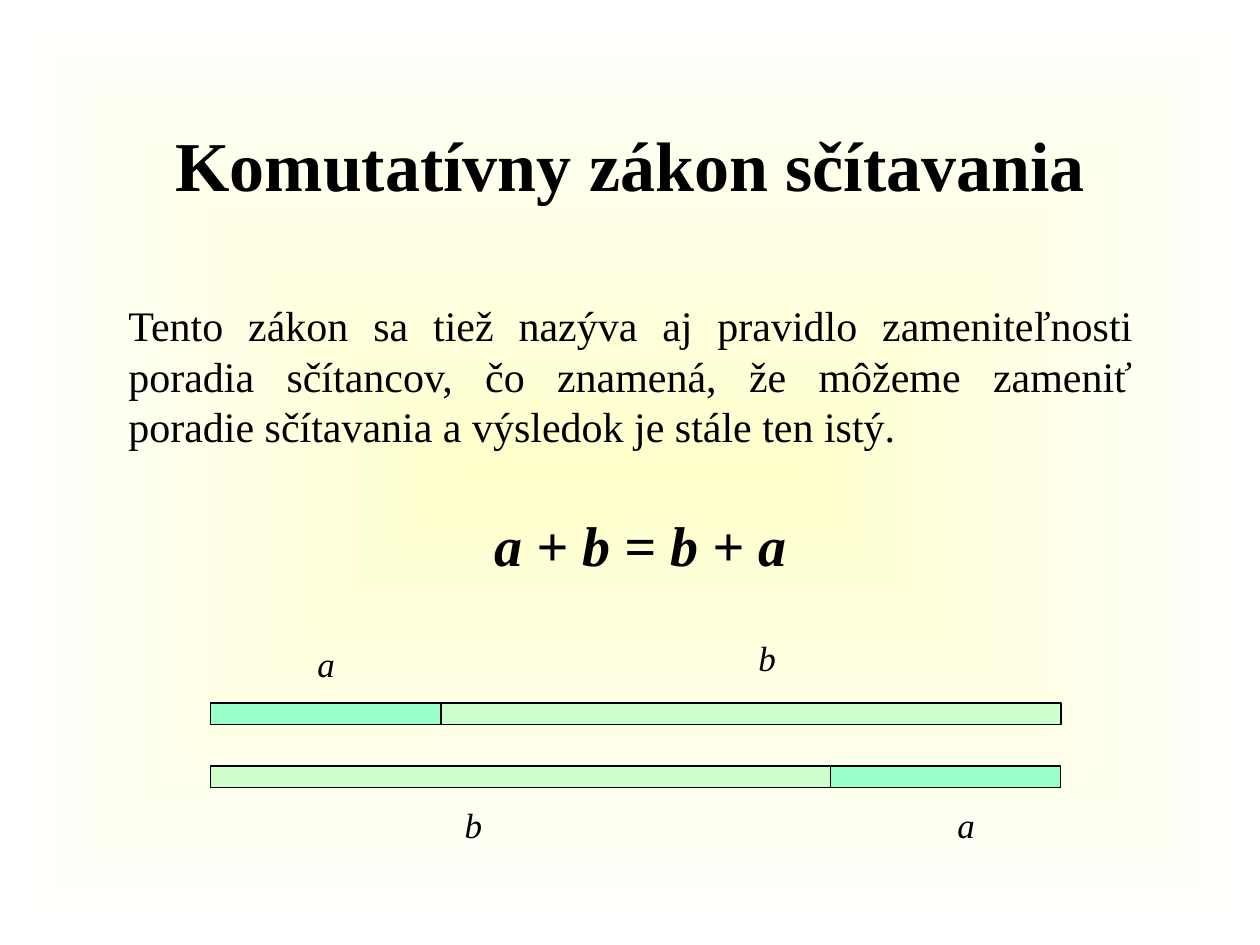
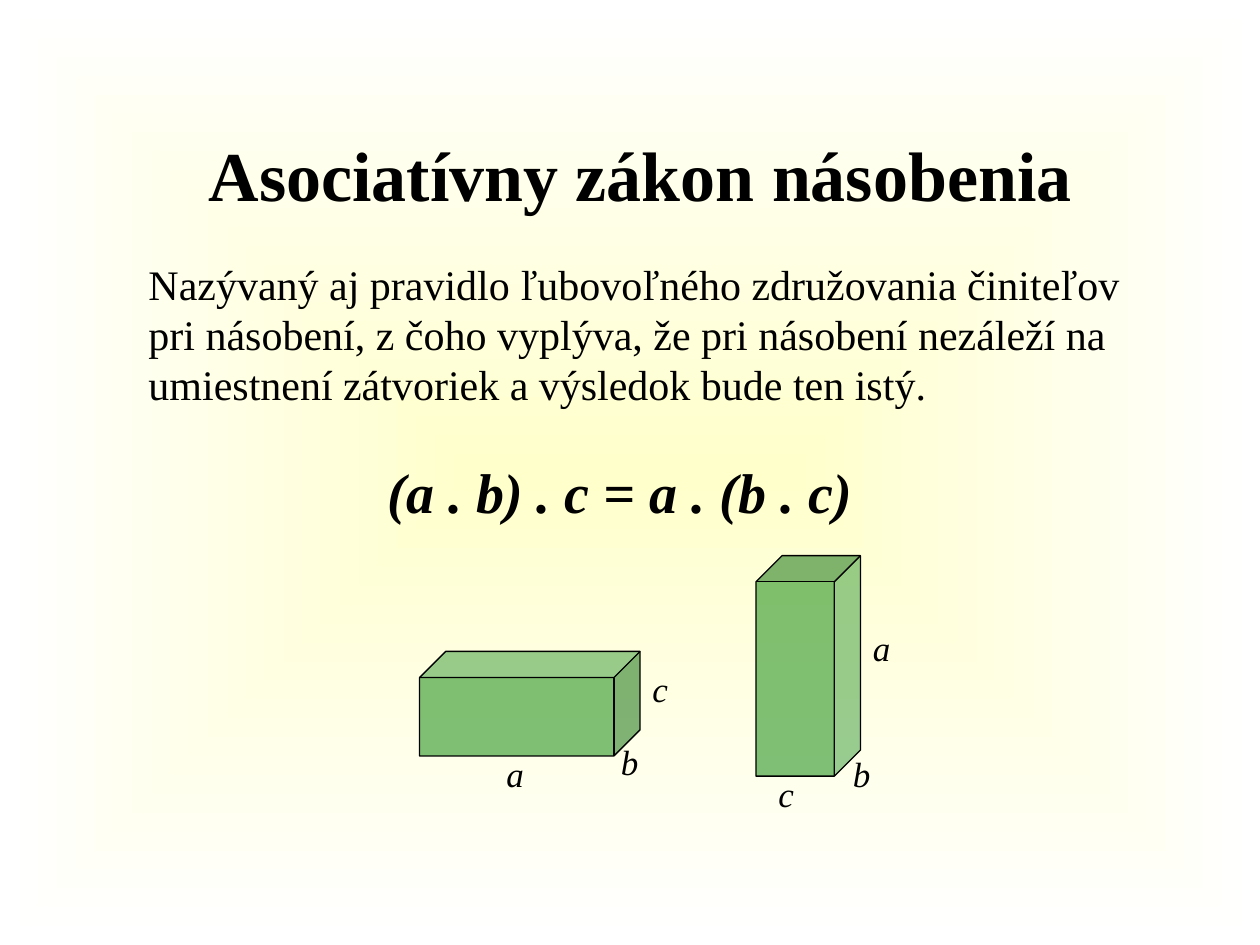
from lxml import etree
from pptx import Presentation
from pptx import util as u
from pptx.dml.color import RGBColor
from pptx.enum import shapes, text
from pptx.oxml import ns

BLACK = RGBColor(0x00, 0x00, 0x00)
WHITE = RGBColor(0xFF, 0xFF, 0xFF)
CREAM = RGBColor(0xFF, 0xFF, 0xCC)
MINT = RGBColor(0x99, 0xFF, 0xCC)
PALE_GREEN = RGBColor(0xCC, 0xFF, 0xCC)
GREEN = RGBColor(0x00, 0x80, 0x00)

BASE_FONT = {"name": "Times New Roman"}
TITLE_FONT = {**BASE_FONT, "size": u.Pt(40), "bold": True}
BODY_FONT = {**BASE_FONT, "size": u.Pt(24)}
FORMULA_FONT = {**BASE_FONT, "size": u.Pt(32), "bold": True, "italic": True}
LABEL_FONT = {**BASE_FONT, "size": u.Pt(20), "italic": True}

BAR_LEFT = 1.67
BAR_HEIGHT = 0.17
SEGMENTS = {"a": (1.83, MINT), "b": (4.92, PALE_GREEN)}


def set_background(master):
    """Give the master a rectangular gradient from a cream centre to white edges."""
    fill = master.background.fill
    fill.gradient()
    for stop, position, color in zip(fill.gradient_stops, (0, 1), (CREAM, WHITE)):
        stop.position = position
        stop.color.rgb = color
    gradient = master.element.find(".//" + ns.qn("a:gradFill"))
    gradient.remove(gradient.find(ns.qn("a:lin")))
    shade = etree.SubElement(gradient, ns.qn("a:path"), path="rect")
    sides = dict.fromkeys("ltrb", "50000")
    etree.SubElement(shade, ns.qn("a:fillToRect"), **sides)


def add_text(parent, words, left, top, width, height, font,
             alignment=text.PP_ALIGN.LEFT, anchor=text.MSO_ANCHOR.TOP):
    """Add a wrapped text box of one paragraph to a slide or group."""
    box = parent.shapes.add_textbox(*map(u.Inches, (left, top, width, height)))
    frame = box.text_frame
    frame.word_wrap = True
    frame.vertical_anchor = anchor
    paragraph = frame.paragraphs[0]
    paragraph.text = words
    paragraph.alignment = alignment
    for name, value in font.items():
        setattr(paragraph.runs[0].font, name, value)
    paragraph.runs[0].font.color.rgb = BLACK


def add_title(slide, words, left, top):
    """Add the slide title."""
    add_text(slide, words, left, top, 8.5, 1.25, TITLE_FONT,
             text.PP_ALIGN.CENTER, text.MSO_ANCHOR.MIDDLE)


def add_formula(slide, words, left, top, width):
    """Add the centred formula of a law."""
    add_text(slide, words, left, top, width, 0.64, FORMULA_FONT, text.PP_ALIGN.CENTER)


def add_label(parent, letter, left, top):
    """Add a one-letter label for a length."""
    add_text(parent, letter, left, top, 0.34, 0.44, LABEL_FONT)


def add_solid(parent, kind, left, top, width, height, color):
    """Add a filled preset shape with a thin black outline."""
    shape = parent.shapes.add_shape(kind, *map(u.Inches, (left, top, width, height)))
    shape.shadow.inherit = False
    shape.fill.solid()
    shape.fill.fore_color.rgb = color
    shape.line.color.rgb = BLACK
    shape.line.width = u.Pt(0.75)
    return shape


def add_bar(slide, top, labels):
    """Add a row of adjoining segments, each grouped with its label."""
    left = BAR_LEFT
    for letter, label_left, label_top in labels:
        width, color = SEGMENTS[letter]
        group = slide.shapes.add_group_shape()
        add_solid(group, shapes.MSO_SHAPE.RECTANGLE, left, top, width, BAR_HEIGHT, color)
        add_label(group, letter, label_left, label_top)
        left += width


def add_cuboid(slide, left, top, upright=False):
    """Add a half-transparent cuboid, lying or standing upright."""
    cuboid = add_solid(slide, shapes.MSO_SHAPE.CUBE, left, top, 1.75, 0.83, GREEN)
    cuboid.adjustments[0] = 0.25
    color = cuboid.element.spPr.find(ns.qn("a:solidFill")).find(ns.qn("a:srgbClr"))
    etree.SubElement(color, ns.qn("a:alpha"), val="50000")
    if upright:
        cuboid.rotation = 90
        cuboid.element.spPr.find(ns.qn("a:xfrm")).set("flipH", "1")


def build_commutative(slide):
    """Show the commutative law of addition with two bars."""
    add_title(slide, "Komutatívny zákon sčítavania", 0.75, 0.67)
    add_formula(slide, "a + b = b + a", 2.75, 4, 4.67)
    add_text(slide, "Tento zákon sa tiež nazýva aj pravidlo zameniteľnosti poradia "
             "sčítancov, čo znamená, že môžeme zameniť poradie sčítavania a výsledok "
             "je stále ten istý.", 0.92, 2.33, 8.17, 1.3, BODY_FONT, text.PP_ALIGN.JUSTIFY)
    add_bar(slide, 5.58, [("a", 2.42, 5.05), ("b", 5.92, 5)])
    add_bar(slide, 6.08, [("b", 3.59, 6.33), ("a", 7.5, 6.33)])


def build_associative(slide):
    """Show the associative law of multiplication with two cuboids."""
    add_title(slide, "Asociatívny zákon násobenia", 0.83, 0.75)
    add_text(slide, "Nazývaný aj pravidlo ľubovoľného združovania činiteľov pri "
             "násobení, z čoho vyplýva, že pri násobení nezáleží na umiestnení "
             "zátvoriek a výsledok bude ten istý.", 1.08, 2, 7.92, 1.3, BODY_FONT)
    add_formula(slide, "(a . b) . c = a . (b . c)", 2.63, 3.58, 4.58)
    add_cuboid(slide, 3.33, 5.17)
    add_cuboid(slide, 5.54, 4.87, upright=True)
    for letter, left, top in [("a", 3.92, 5.92), ("b", 4.83, 5.83), ("c", 5.08, 5.25),
                              ("c", 6.08, 6.08), ("b", 6.67, 5.92), ("a", 6.83, 4.92)]:
        add_label(slide, letter, left, top)


def main():
    """Build and save the presentation."""
    presentation = Presentation()
    presentation.slide_width = u.Inches(10)
    presentation.slide_height = u.Inches(7.5)
    set_background(presentation.slide_master)
    for build in (build_commutative, build_associative):
        build(presentation.slides.add_slide(presentation.slide_layouts[6]))
    presentation.save("out.pptx")


if __name__ == "__main__":
    main()
